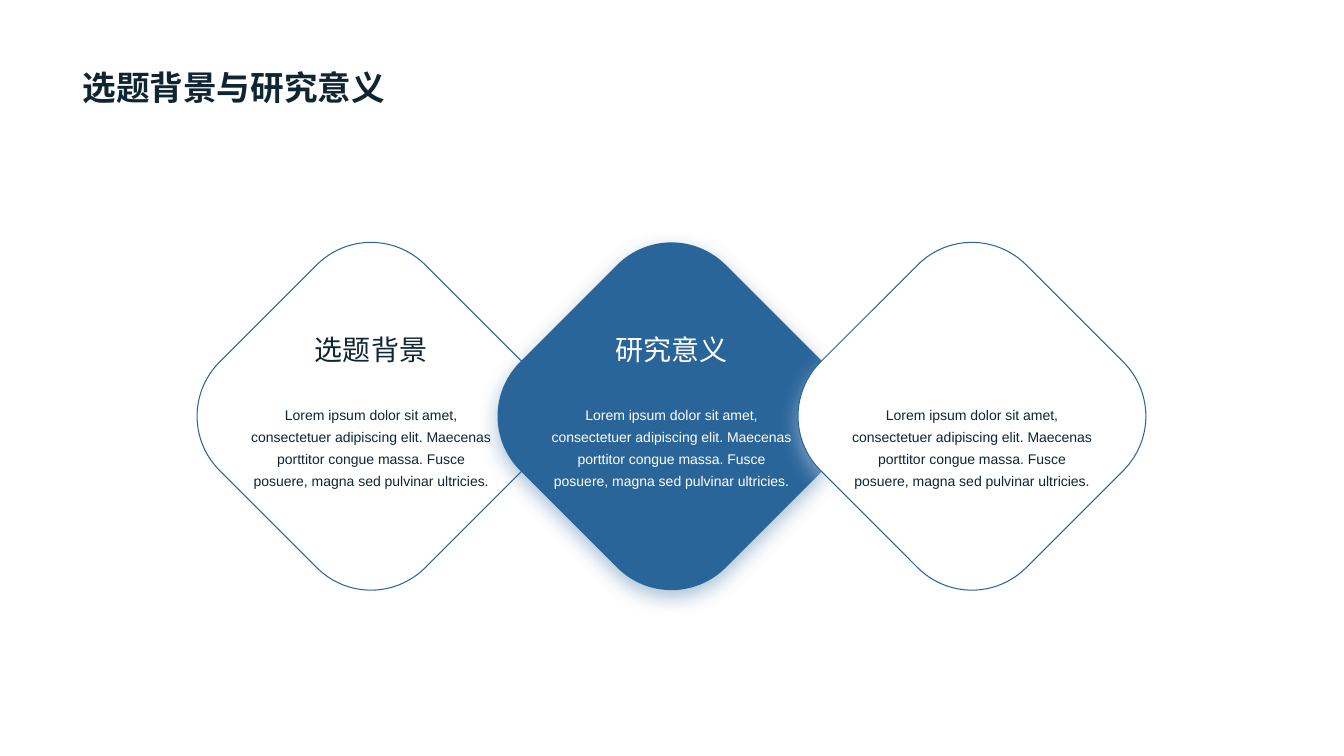
"""Build the slide on topic background and research significance."""
from dataclasses import dataclass

from lxml.etree import SubElement
from pptx import Presentation
from pptx.dml.color import RGBColor as Color
from pptx.enum.text import MSO_ANCHOR as Anchor, PP_ALIGN as Align
from pptx.oxml.ns import qn
from pptx.util import Inches, Pt

TITLE = "选题背景与研究意义"
BODY = (
    "Lorem ipsum dolor sit amet, consectetuer adipiscing elit. "
    "Maecenas porttitor congue massa. Fusce posuere, magna sed pulvinar ultricies."
)
DIAMONDS = [
    {"heading": "选题背景", "filled": False},
    {"heading": "研究意义", "filled": True},
    {"heading": "", "filled": False},
]


@dataclass(frozen=True)
class Theme:
    font: str = "Arial"
    ink: str = "0F2532"
    blue: str = "2A659A"
    white: str = "FFFFFF"
    title_size: int = 24
    heading_size: int = 20
    body_size: int = 10


THEME = Theme()
SLIDE_SIZE = (13.33, 7.5)
TITLE_BOX = (0.72, 0, 11.88, 1.12)
MIDDLE_X, MIDDLE_Y, PITCH = 6.66, 4.13, 2.98
HEADING_TOP, HEADING_WIDTH, HEADING_HEIGHT = 3.25, 1.32, 0.44
BODY_INSETS = (0.59, 0.63, 0.59, 0.05)
RIGHT_CORNER = [(1.5, -0.54), (1.8, -0.24), (1.8, 0.24), (1.5, 0.54)]


def write(shape, text, size, color, anchor, align, spacing=1.0, bold=False):
    frame = shape.text_frame
    frame.text = text
    frame.vertical_anchor = anchor
    paragraph = frame.paragraphs[0]
    paragraph.alignment = align
    paragraph.line_spacing = spacing
    font = paragraph.runs[0].font
    font.name, font.size, font.bold = THEME.font, Pt(size), bold
    font.color.rgb = Color.from_string(color)


def add_text_box(slide, box, wrap):
    shape = slide.shapes.add_textbox(*map(Inches, box))
    shape.text_frame.word_wrap = wrap
    return shape


def corner_points(center_x):
    points, corner = [], RIGHT_CORNER
    for _ in range(4):
        points += [(Inches(center_x + x), Inches(MIDDLE_Y + y)) for x, y in corner]
        corner = [(-y, x) for x, y in corner]
    return points


def round_corners(shape):
    outline = shape.element.find(".//" + qn("a:path"))
    lines = outline.findall(qn("a:lnTo"))
    for start in range(0, len(lines), 4):
        curve, *others = lines[start:start + 3]
        curve.tag = qn("a:cubicBezTo")
        for line in others:
            curve.append(line[0])
            outline.remove(line)


def add_shadow(shape, color):
    effects = SubElement(shape.element.spPr, qn("a:effectLst"))
    shadow = SubElement(
        effects, qn("a:outerShdw"), blurRad=str(Pt(14)), dist=str(Pt(5)),
        dir="5400000", algn="t", rotWithShape="0",
    )
    tint = SubElement(shadow, qn("a:srgbClr"), val=color)
    SubElement(tint, qn("a:alpha"), val="40000")


def add_diamond(slide, center_x, heading, filled):
    fill = THEME.blue if filled else THEME.white
    ink = THEME.white if filled else THEME.ink

    first, *others = corner_points(center_x)
    builder = slide.shapes.build_freeform(*first)
    builder.add_line_segments(others, close=True)
    diamond = builder.convert_to_shape()
    round_corners(diamond)
    diamond.fill.solid()
    diamond.fill.fore_color.rgb = Color.from_string(fill)
    if filled:
        diamond.line.fill.background()
    else:
        diamond.line.color.rgb = Color.from_string(THEME.blue)
        diamond.line.width = Pt(0.75)
    add_shadow(diamond, fill)

    frame = diamond.text_frame
    frame.word_wrap = True
    (frame.margin_left, frame.margin_top,
     frame.margin_right, frame.margin_bottom) = map(Inches, BODY_INSETS)
    write(diamond, BODY, THEME.body_size, ink, Anchor.MIDDLE, Align.CENTER, 1.3)

    if heading:
        box = (center_x - HEADING_WIDTH / 2, HEADING_TOP, HEADING_WIDTH, HEADING_HEIGHT)
        label = add_text_box(slide, box, False)
        write(label, heading, THEME.heading_size, ink, Anchor.MIDDLE, Align.CENTER)


def main():
    presentation = Presentation()
    presentation.slide_width, presentation.slide_height = map(Inches, SLIDE_SIZE)
    slide = presentation.slides.add_slide(presentation.slide_layouts[6])

    title = add_text_box(slide, TITLE_BOX, True)
    write(title, TITLE, THEME.title_size, THEME.ink, Anchor.BOTTOM, Align.LEFT, 0.9, True)

    for index, diamond in enumerate(DIAMONDS):
        add_diamond(slide, MIDDLE_X + (index - 1) * PITCH, **diamond)

    presentation.save("out.pptx")


if __name__ == "__main__":
    main()
